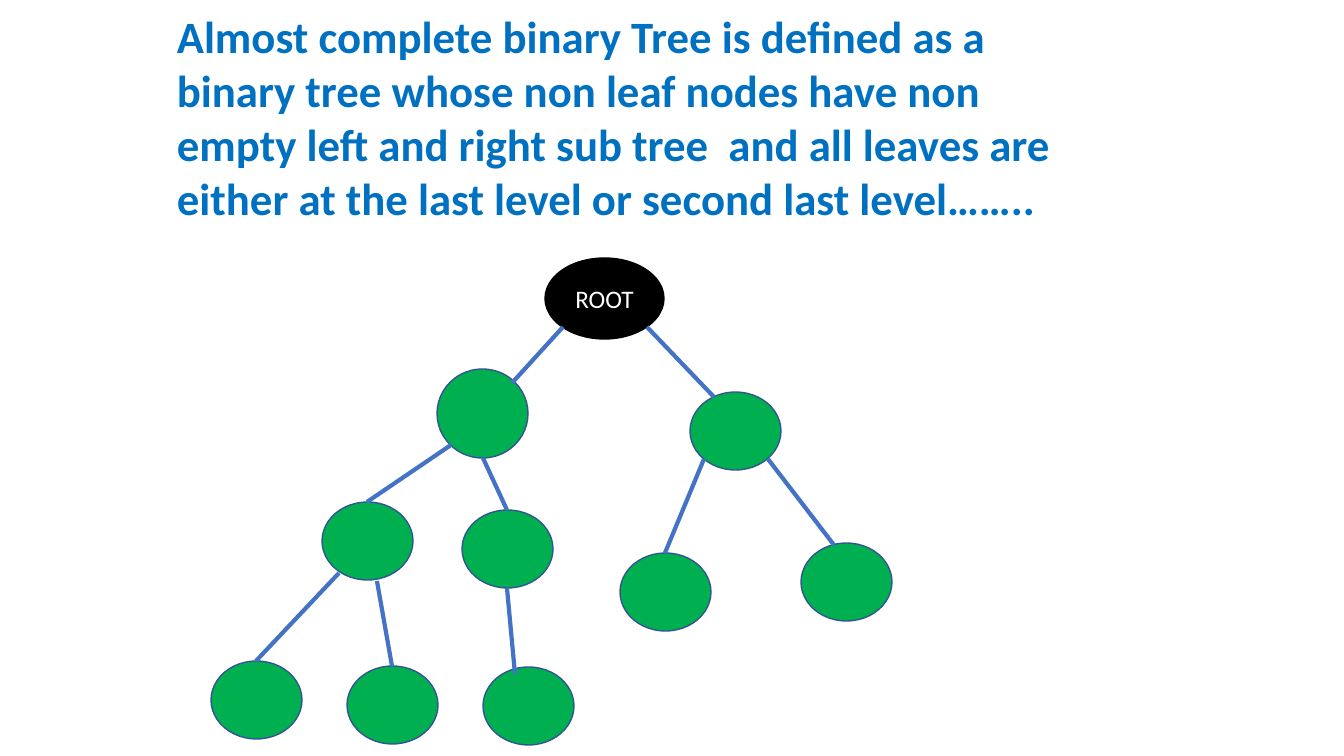
"""Build a slide that defines an almost complete binary tree and draws one."""
from lxml import etree
from pptx import Presentation
from pptx.dml.color import RGBColor
from pptx.enum.shapes import MSO_CONNECTOR, MSO_SHAPE
from pptx.enum.text import MSO_ANCHOR, MSO_AUTO_SIZE, PP_ALIGN
from pptx.oxml.ns import qn
from pptx.util import Emu, Pt

OVAL = MSO_SHAPE.OVAL
STRAIGHT = MSO_CONNECTOR.STRAIGHT
MIDDLE = MSO_ANCHOR.MIDDLE
CENTER = PP_ALIGN.CENTER
GROW = MSO_AUTO_SIZE.SHAPE_TO_FIT_TEXT
SCALE = 914400 / 100.8
FONT = "Calibri"
BLACK, WHITE = "000000", "FFFFFF"
GREEN, OUTLINE = "00B050", "325491"
BRANCH_BLUE, TEXT_BLUE = "4472C4", "0070C0"
NODE_WIDTH, NODE_HEIGHT = 91, 78


def pixels(*lengths):
    return [Emu(round(length * SCALE)) for length in lengths]


def color(hex_string):
    return RGBColor.from_string(hex_string)


presentation = Presentation()
presentation.slide_width, presentation.slide_height = pixels(1344, 756)
slide = presentation.slides.add_slide(presentation.slide_layouts[6])

nodes = [
    (545, 258, 119, 81, BLACK, BLACK, "ROOT"),
    (437, 369, NODE_WIDTH, 89, GREEN, OUTLINE, ""),
]
green_positions = [
    (690, 392),
    (322, 502), (462, 510), (620, 553), (801, 543),
    (211, 661), (347, 666), (483, 667),
]
for left, top in green_positions:
    nodes.append((left, top, NODE_WIDTH, NODE_HEIGHT, GREEN, OUTLINE, ""))

for left, top, width, height, fill, outline, label in nodes:
    node = slide.shapes.add_shape(OVAL, *pixels(left, top, width, height))
    node.shadow.inherit = False
    node.fill.solid()
    node.fill.fore_color.rgb = color(fill)
    node.line.color.rgb = color(outline)
    node.line.width = Pt(1)
    if label:
        node.text_frame.vertical_anchor = MIDDLE
        paragraph = node.text_frame.paragraphs[0]
        paragraph.alignment = CENTER
        run = paragraph.add_run()
        run.text = label
        run.font.name = FONT
        run.font.size = Pt(18)
        run.font.color.rgb = color(WHITE)

branches = [
    (563, 327, 512, 383), (647, 327, 714, 397),
    (451, 445, 367, 502), (483, 458, 507, 510),
    (704, 459, 665, 553), (768, 459, 834, 545),
    (339, 573, 256, 661), (377, 581, 392, 666),
    (507, 588, 515, 674),
]
for ends in branches:
    branch = slide.shapes.add_connector(STRAIGHT, *pixels(*ends))
    branch.line.color.rgb = color(BRANCH_BLUE)
    branch.line.width = Pt(3)
    etree.SubElement(branch._element.spPr, qn("a:effectLst"))

definition = slide.shapes.add_textbox(*pixels(167, 4, 942, 228))
definition.text_frame.word_wrap = True
definition.text_frame.auto_size = GROW
run = definition.text_frame.paragraphs[0].add_run()
run.text = (
    "Almost complete binary Tree is defined as a binary tree whose non leaf "
    "nodes have non empty left and right sub tree  and all leaves are either "
    "at the last level or second last level…….."
)
run.font.name = FONT
run.font.size = Pt(32)
run.font.bold = True
run.font.color.rgb = color(TEXT_BLUE)

presentation.save("out.pptx")
